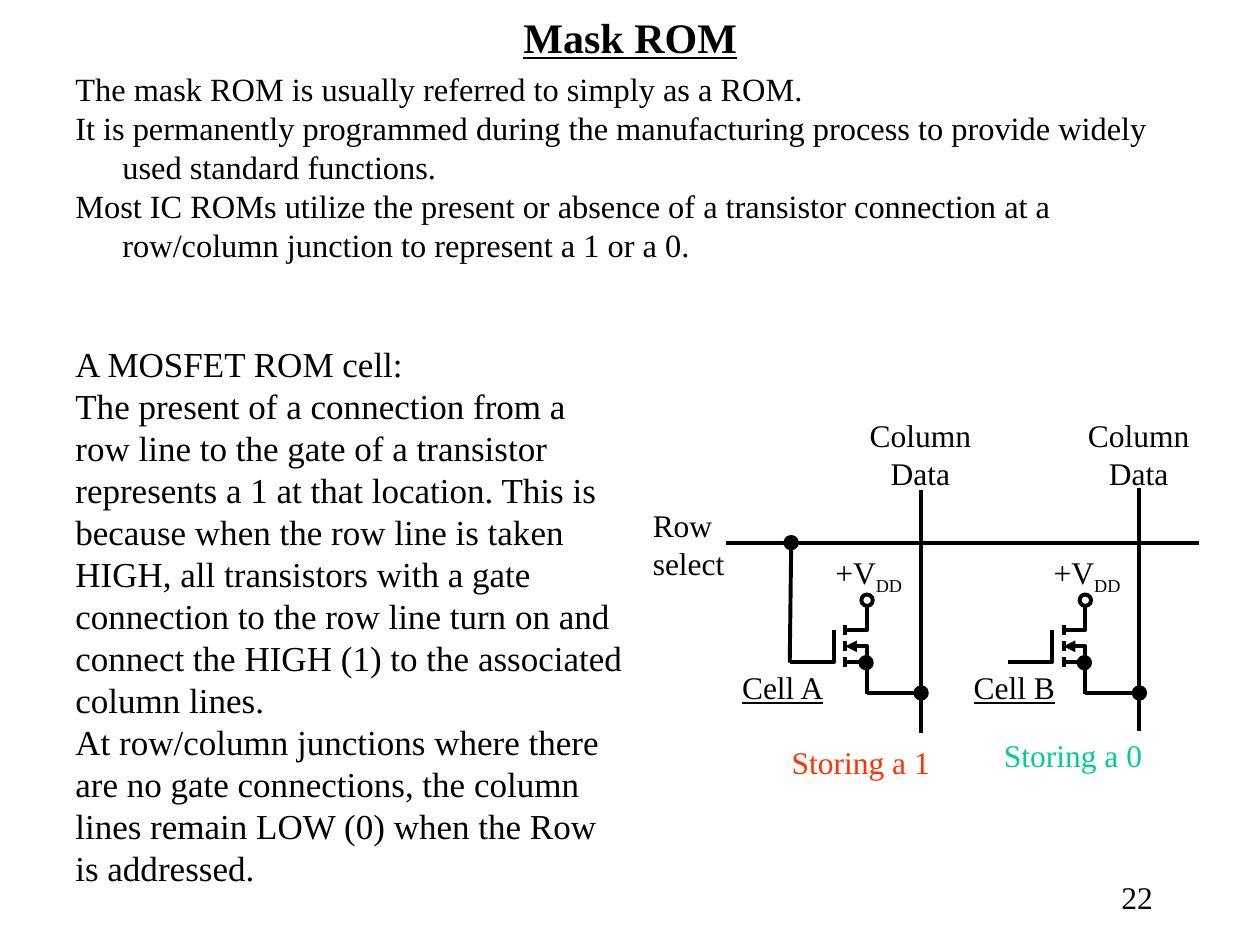
from lxml import etree
from pptx import Presentation
from pptx.dml.color import RGBColor
from pptx.enum import shapes as sh, text as tx
from pptx.oxml.ns import qn
from pptx.util import Cm, Pt

BLACK = RGBColor(0, 0, 0)
RED = RGBColor(0xFF, 0x33, 0x00)
GREEN = RGBColor(0x00, 0xCC, 0x99)
FONT = "Times New Roman"
LEFT, MID, RIGHT = tx.PP_ALIGN.LEFT, tx.PP_ALIGN.CENTER, tx.PP_ALIGN.RIGHT

prs = Presentation()
prs.slide_width, prs.slide_height = Cm(25.4), Cm(19.05)
slide = prs.slides.add_slide(prs.slide_layouts[6])


def write(text, x, y, w, h, size=18, color=BLACK, bold=False, under=False,
          align=LEFT, anchor=tx.MSO_ANCHOR.TOP, hang=0, sub=""):
    """Add a text box: one paragraph a line, hang indent in cm, sub as subscript."""
    frame = slide.shapes.add_textbox(Cm(x), Cm(y), Cm(w), Cm(h)).text_frame
    frame.word_wrap = True
    frame.vertical_anchor = anchor
    frame.text = text
    for par in frame.paragraphs:
        par.alignment = align
        if hang:
            props = par._p.get_or_add_pPr()
            props.set("marL", str(Cm(hang)))
            props.set("indent", str(-Cm(hang)))
        if sub:
            low = par.add_run()
            low.text = sub
            low._r.get_or_add_rPr().set("baseline", "-25000")
        for run in par.runs:
            font = run.font
            font.name, font.size, font.color.rgb = FONT, Pt(size), color
            font.bold, font.underline = bold, under


def draw(*pts, arrow=False):
    """Draw a wire through the points, with an arrowhead at its start if asked."""
    pts = [(Cm(x), Cm(y)) for x, y in pts]
    if len(pts) == 2:
        wire = slide.shapes.add_connector(sh.MSO_CONNECTOR.STRAIGHT, *pts[0], *pts[1])
    else:
        form = slide.shapes.build_freeform(*pts[0])
        form.add_line_segments(pts[1:], close=False)
        wire = form.convert_to_shape()
        wire.fill.background()
    wire.line.color.rgb, wire.line.width = BLACK, Pt(2.25)
    if arrow:
        etree.SubElement(wire.line._get_or_add_ln(), qn("a:headEnd"), type="triangle")
    etree.SubElement(wire._element.spPr, qn("a:effectLst"))


write("22", 18.21, 17.58, 5.28, 1.27, align=RIGHT)
write("Mask ROM", 1.91, 0.1, 21.59, 1.27, size=24, bold=True, under=True,
      align=MID, anchor=tx.MSO_ANCHOR.MIDDLE)
write("The mask ROM is usually referred to simply as a ROM.\n"
      "It is permanently programmed during the manufacturing process to provide "
      "widely used standard functions.\n"
      "Most IC ROMs utilize the present or absence of a transistor connection at a "
      "row/column junction to represent a 1 or a 0.",
      1.27, 1.27, 22.86, 4.5, size=18.5, hang=0.95)
write("A MOSFET ROM cell:\n"
      "The present of a connection from a row line to the gate of a transistor "
      "represents a 1 at that location. This is because when the row line is taken "
      "HIGH, all transistors with a gate connection to the row line turn on and "
      "connect the HIGH (1) to the associated column lines.\n"
      "At row/column junctions where there are no gate connections, the column "
      "lines remain LOW (0) when the Row is addressed.",
      1.27, 6.78, 11.63, 11.28, size=20)

# Row line, with the gate of cell A tied to it
write("Row\nselect", 12.91, 10.08, 2.13, 1.78)
draw((14.63, 10.95), (24.18, 10.95))
draw((15.92, 13.36), (15.95, 10.95))
dots = [(15.95, 10.94, True)]

# Two equal cells; only the height of the column line differs
for x, top in ((17.04, 9.88), (21.44, 9.83)):
    src, col = x + 0.44, x + 1.53
    write("Column Data", x + 0.08, 8.26, 2.87, 1.78, align=MID)
    write("+V", x - 0.45, 11.02, 2.2, 1.12, sub="DD")
    draw((col, top), (col, top + 4.9))
    for i in range(3):
        bar = 12.6 + 0.32 * i
        draw((x, bar), (x, bar + 0.2))
    draw((x, 13.34), (src, 13.34), (src, 14))
    draw((x, 12.7), (src, 12.7), (src, 12.22))
    draw((x, 13.03), (src, 13.03), (src, 13.46), arrow=True)
    draw((x - 0.23, 12.7), (x - 0.23, 13.35), (x - 1.11, 13.35))
    draw((src, 13.97), (col, 13.97))
    dots += [(src - 0.02, 13.36, True), (src, 12.1, False), (col, 13.97, True)]

SIZE = 0.23
for x, y, full in dots:
    dot = slide.shapes.add_shape(sh.MSO_SHAPE.OVAL, Cm(x - SIZE / 2), Cm(y - SIZE / 2),
                                 Cm(SIZE), Cm(SIZE))
    dot.shadow.inherit = False
    dot.line.color.rgb, dot.line.width = BLACK, Pt(2.25)
    if full:
        dot.fill.solid()
        dot.fill.fore_color.rgb = BLACK
    else:
        dot.fill.background()

write("Storing a 1", 15.71, 14.86, 3.45, 1.02, color=RED)
write("Storing a 0", 19.99, 14.71, 3.45, 1.02, color=GREEN)
for name, x in (("Cell A", 14.71), ("Cell B", 19.38)):
    write(name, x, 13.34, 2.18, 1.02, under=True)

prs.save("out.pptx")
